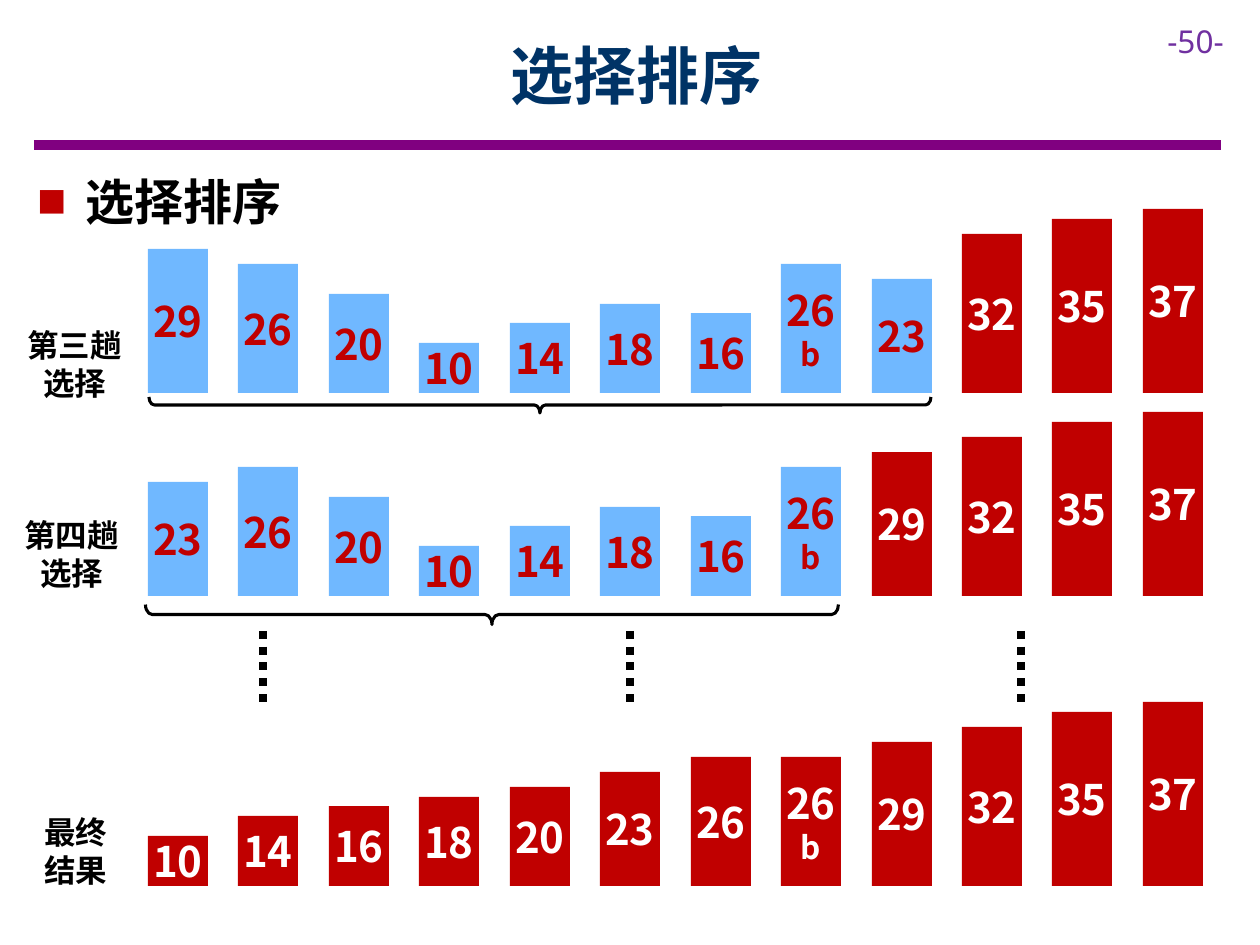
from dataclasses import dataclass

from lxml.etree import SubElement
from pptx import Presentation
from pptx.dml.color import RGBColor
from pptx.enum.dml import MSO_LINE
from pptx.enum.shapes import MSO_CONNECTOR, MSO_SHAPE as SHAPE
from pptx.enum.text import MSO_ANCHOR as ANCHOR, PP_ALIGN as ALIGN
from pptx.oxml.ns import qn
from pptx.util import Emu, Pt

PX = 914400 // 126
COLORS = {
    "navy": "003366", "purple": "800080", "violet": "7030A0",
    "red": "C00000", "blue": "70B8FF", "black": "000000", "white": "FFFFFF",
}
CJK = "Noto Sans CJK SC"
BAR_LEFT, BAR_PITCH, BAR_WIDTH = 148, 90.45, 60
UNIT_HEIGHT = 4.97  # bar height for each unit of value


@dataclass
class Row:
    label: str
    label_box: tuple[int, int, int, int]
    bottom: int
    values: list[str]
    sorted_from: int


@dataclass
class Brace:
    center_x: int
    center_y: int
    length: int
    depth: int


ROWS = [
    Row("第三趟\n选择", (14, 320, 121, 90), 393,
        "29 26 20 10 14 18 16 26b 23 32 35 37".split(), 9),
    Row("第四趟\n选择", (11, 510, 121, 90), 596,
        "23 26 20 10 14 18 16 26b 29 32 35 37".split(), 8),
    Row("最终\n结果", (31, 807, 90, 90), 886,
        "10 14 16 18 20 23 26 26b 29 32 35 37".split(), 0),
]
BRACES = [Brace(540, 405, 782, 16), Brace(492, 614, 693, 20)]
DOTTED_X = [263, 630, 1021]


def px(n: float) -> Emu:
    return Emu(round(n) * PX)


def rgb(name: str) -> RGBColor:
    return RGBColor.from_string(COLORS[name])


def format_run(r, size: float, color: str, font: str = CJK, bold: bool = True) -> None:
    r.font.size, r.font.bold, r.font.name = Pt(size), bold, font
    r.font.color.rgb = rgb(color)
    SubElement(r.font._element, qn("a:ea")).set("typeface", font)


def add_text(box: tuple, text: str, size: float, color: str, align=ALIGN.LEFT,
             anchor=ANCHOR.TOP, wrap: bool = True, font: str = CJK, bold: bool = True):
    tf = slide.shapes.add_textbox(*map(px, box)).text_frame
    tf.text = text
    tf.word_wrap, tf.vertical_anchor = wrap, anchor
    for p in tf.paragraphs:
        p.alignment = align
        for r in p.runs:
            format_run(r, size, color, font, bold)
    return tf


def add_line(x1: int, y1: int, x2: int, y2: int, color: str, width: float, dash=None) -> None:
    line = slide.shapes.add_connector(MSO_CONNECTOR.STRAIGHT, *map(px, (x1, y1, x2, y2)))
    line.line.color.rgb, line.line.width = rgb(color), Pt(width)
    if dash:
        line.line.dash_style = dash
    SubElement(line._element.spPr, qn("a:effectLst"))


def add_bar(left: float, bottom: int, value: str, is_sorted: bool) -> None:
    number = value.rstrip("b")
    height = round(int(number) * UNIT_HEIGHT)
    sp = slide.shapes.add_shape(
        SHAPE.RECTANGLE, *map(px, (left, bottom - height, BAR_WIDTH, height)))
    sp.shadow.inherit = False
    sp.fill.solid()
    sp.fill.fore_color.rgb = rgb("red" if is_sorted else "blue")
    sp.line.fill.background()
    tf = sp.text_frame
    tf.text = number if value == number else number + "\nb"
    tf.margin_left = tf.margin_right = 0
    tf.margin_top = tf.margin_bottom = px(13)
    tf.vertical_anchor = ANCHOR.MIDDLE
    for p, size in zip(tf.paragraphs, (24, 18)):
        p.alignment = ALIGN.CENTER
        format_run(p.runs[0], size, "white" if is_sorted else "red")


def add_brace(b: Brace) -> None:
    sp = slide.shapes.add_shape(
        SHAPE.LEFT_BRACE, px(b.center_x - b.depth / 2), px(b.center_y - b.length / 2),
        px(b.depth), px(b.length))
    sp.rotation = 270
    sp.adjustments[0], sp.adjustments[1] = 0.34, 0.5
    sp.shadow.inherit = False
    sp.fill.background()
    sp.line.color.rgb, sp.line.width = rgb("black"), Pt(1.75)


prs = Presentation()
prs.slide_width, prs.slide_height = px(1260), px(945)
slide = prs.slides.add_slide(prs.slide_layouts[6])

# Header
add_line(34, 145, 1221, 145, "purple", 6)
add_text((1155, 16, 105, 50), "-50-", 18, "violet", font="Noto Sans", bold=False)
add_text((113, 11, 1047, 126), "选择排序", 36, "navy", ALIGN.CENTER, ANCHOR.MIDDLE)

# Bulleted heading
heading = add_text((25, 165, 1191, 72), "选择排序", 28, "black")
pPr = heading.paragraphs[0]._p.get_or_add_pPr()
pPr.set("marL", str(px(48)))
pPr.set("indent", str(px(-48)))
SubElement(SubElement(pPr, qn("a:buClr")), qn("a:srgbClr")).set("val", COLORS["red"])
SubElement(pPr, qn("a:buSzPct")).set("val", "60000")
SubElement(pPr, qn("a:buFont")).set("typeface", CJK)
SubElement(pPr, qn("a:buChar")).set("char", "■")

# Bars of each pass with their labels
for row in ROWS:
    for i, value in enumerate(row.values):
        add_bar(BAR_LEFT + i * BAR_PITCH, row.bottom, value, i >= row.sorted_from)
    add_text(row.label_box, row.label, 18, "black", ALIGN.CENTER, wrap=False)

# Braces under the unsorted parts
for brace in BRACES:
    add_brace(brace)

# Dotted lines for the passes left out
for x in DOTTED_X:
    add_line(x, 631, x, 702, "black", 4.5, MSO_LINE.ROUND_DOT)

prs.save("out.pptx")
